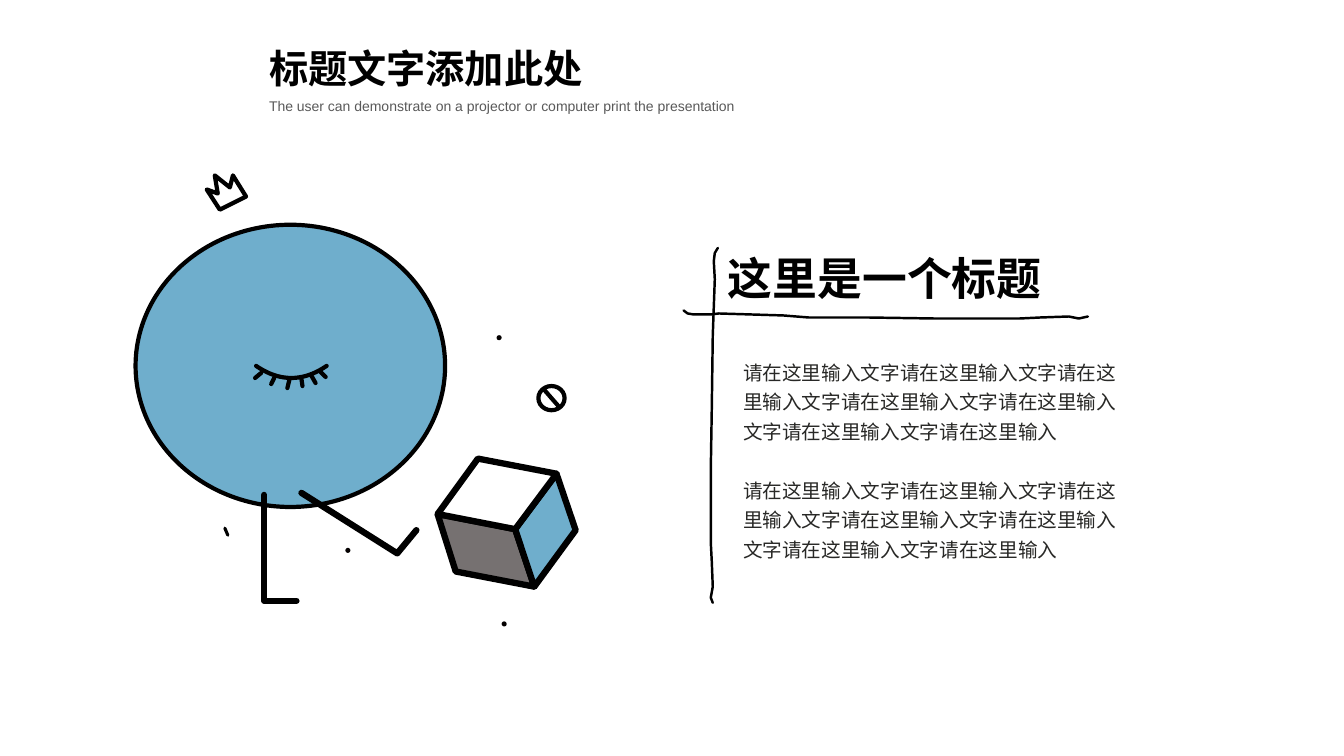
"""Build a slide with a line-drawn figure and two text passages."""
from dataclasses import dataclass

from lxml import etree
from pptx import Presentation
from pptx.dml.color import RGBColor
from pptx.enum.shapes import MSO_CONNECTOR, MSO_SHAPE
from pptx.enum.text import MSO_ANCHOR, MSO_AUTO_SIZE, PP_ALIGN
from pptx.oxml.ns import qn
from pptx.util import Inches, Pt

OVAL = MSO_SHAPE.OVAL
STRAIGHT = MSO_CONNECTOR.STRAIGHT
TOP = MSO_ANCHOR.TOP
GROW = MSO_AUTO_SIZE.SHAPE_TO_FIT_TEXT
LEFT = PP_ALIGN.LEFT


@dataclass(frozen=True)
class Theme:
    """Colours, fonts, type sizes and pen widths."""
    ink: str = "000000"
    dot: str = "040000"
    blue: str = "6FAECC"
    gray: str = "767171"
    white: str = "FFFFFF"
    muted: str = "595959"
    text: str = "282826"
    latin: str = "Arial"
    cjk: str = "Noto Sans CJK SC"
    heading_font: str = "Noto Sans CJK JP"
    title: int = 28
    heading: int = 32
    body: int = 14
    caption: int = 10
    limb: float = 4.5
    pen: float = 3
    tick: float = 2.25
    rule: float = 1.75


class Sketch:
    """Draws the elements of one slide in one style."""

    def __init__(self, s, theme):
        self.s = s
        self.theme = theme

    def paint(self, shape, fill=None, width=None):
        if fill:
            shape.fill.solid()
            shape.fill.fore_color.rgb = RGBColor.from_string(fill)
        else:
            shape.fill.background()
        shape.shadow.inherit = False
        if width:
            self.ink(shape, width)
        else:
            shape.line.fill.background()

    def ink(self, shape, width):
        shape.line.color.rgb = RGBColor.from_string(self.theme.ink)
        shape.line.width = Pt(width)
        ln = shape.element.spPr.find(qn("a:ln"))
        ln.set("cap", "rnd")
        etree.SubElement(ln, qn("a:round"))

    def oval(self, cx, cy, w, h, fill=None, width=None):
        sp = self.s.shapes.add_shape(
            OVAL, Inches(cx - w / 2), Inches(cy - h / 2), Inches(w), Inches(h))
        self.paint(sp, fill, width)

    def polyline(self, points, width, fill=None, close=False):
        pts = [(Inches(x), Inches(y)) for x, y in points]
        builder = self.s.shapes.build_freeform(*pts[0])
        builder.add_line_segments(pts[1:], close=close)
        self.paint(builder.convert_to_shape(), fill, width)

    def line(self, start, end, width):
        sp = self.s.shapes.add_connector(
            STRAIGHT, *(Inches(v) for v in (*start, *end)))
        self.ink(sp, width)
        etree.SubElement(sp.element.spPr, qn("a:effectLst"))

    def textbox(self, box, *style, **options):
        sp = self.s.shapes.add_textbox(*(Inches(v) for v in box))
        self.set_text(sp, box, *style, **options)

    def set_text(self, sp, box, text, size, color, latin, cjk,
                 bold=False, spacing=1.0, wrap=True):
        sp.left, sp.top, sp.width, sp.height = (Inches(v) for v in box)
        tf = sp.text_frame
        tf.word_wrap = wrap
        tf.auto_size = GROW
        tf.vertical_anchor = TOP
        p = tf.paragraphs[0]
        pPr = p._p.get_or_add_pPr()
        pPr.set("marL", "0")
        pPr.set("indent", "0")
        etree.SubElement(pPr, qn("a:buNone"))
        p.alignment = LEFT
        p.line_spacing = spacing
        p.space_before = Pt(0)
        r = p.add_run()
        r.text = text
        r.font.size = Pt(size)
        r.font.bold = bold
        r.font.color.rgb = RGBColor.from_string(color)
        r.font.name = latin
        ea = etree.Element(qn("a:ea"), typeface=cjk)
        r.font._element.find(qn("a:latin")).addnext(ea)


def draw_figure(sk):
    t = sk.theme
    sk.oval(2.88, 3.63, 3.07, 2.8, t.blue, t.pen)
    for cx, cy in [(4.95, 3.35), (5, 6.19), (3.45, 5.46)]:
        sk.oval(cx, cy, 0.05, 0.05, t.dot)
    sk.line((2.23, 5.24), (2.26, 5.31), t.tick)

    left, low, front, centre = (4.34, 5.1), (4.52, 5.67), (5.3, 5.82), (5.11, 5.25)
    back, right, top = (5.52, 4.7), (5.71, 5.26), (4.74, 4.55)
    for face, fill in [((left, low, front, centre), t.gray),
                       ((back, centre, front, right), t.blue),
                       ((left, centre, back, top), t.white)]:
        sk.polyline(face, t.limb, fill, close=True)

    sk.oval(5.47, 3.95, 0.26, 0.24, width=t.pen)
    sk.line((5.4, 3.87), (5.54, 4.03), t.pen)
    crown = [(2.18, 2.08), (2.05, 1.88), (2.16, 1.92), (2.13, 1.74),
             (2.28, 1.86), (2.31, 1.74), (2.44, 1.95)]
    sk.polyline(crown, t.pen, close=True)

    steps = [i / 10 for i in range(-10, 11)]
    eyelid = [(2.89 + 0.35 * u, 3.75 - 0.12 * u * u) for u in steps]
    sk.polyline(eyelid, t.pen)
    for root, tip in [((2.59, 3.7), (2.53, 3.75)), ((2.72, 3.75), (2.69, 3.81)),
                      ((2.87, 3.77), (2.85, 3.85)), ((2.99, 3.76), (3, 3.83)),
                      ((3.09, 3.73), (3.13, 3.8)), ((3.18, 3.69), (3.23, 3.74))]:
        sk.line(root, tip, t.pen)

    sk.polyline([(2.99, 4.89), (3.94, 5.49), (4.13, 5.26)], t.limb)
    sk.polyline([(2.62, 4.91), (2.62, 5.96), (2.94, 5.96)], t.limb)


def draw_rules(sk):
    across = [(6.78, 3.08), (6.82, 3.11), (6.88, 3.12), (7.05, 3.12), (7.13, 3.11),
              (7.77, 3.13), (8.02, 3.15), (8.6, 3.15), (9.28, 3.16), (10.11, 3.16),
              (10.32, 3.15), (10.6, 3.14), (10.7, 3.16), (10.79, 3.14)]
    down = [(7.12, 2.46), (7.09, 2.51), (7.08, 2.59), (7.09, 2.77), (7.07, 3.33),
            (7.06, 4.06), (7.05, 4.66), (7.05, 5.38), (7.06, 5.57), (7.07, 5.82),
            (7.05, 5.93), (7.07, 5.98)]
    for points in (across, down):
        sk.polyline(points, sk.theme.rule)


def main():
    prs = Presentation()
    prs.slide_width, prs.slide_height = Inches(13.33), Inches(7.5)
    s = prs.slides.add_slide(prs.slide_layouts[3])
    t = Theme()
    sk = Sketch(s, t)

    sk.set_text(s.shapes.title, (2.57, 0.39, 3.31, 0.57), "标题文字添加此处",
                t.title, t.ink, t.latin, t.cjk, bold=True, wrap=False)
    sk.textbox((2.57, 0.92, 5.34, 0.27),
               "The user can demonstrate on a projector or computer print the presentation",
               t.caption, t.muted, t.latin, t.cjk)
    draw_figure(sk)
    draw_rules(sk)
    sk.textbox((7.12, 2.44, 3.73, 0.64), "这里是一个标题",
               t.heading, t.ink, t.heading_font, t.heading_font, bold=True)
    passage = "请在这里输入文字" * 6 + "请在这里输入"
    for idx, y in [(1, 3.47), (2, 4.64)]:
        sk.set_text(s.placeholders[idx], (7.27, y, 4.02, 0.98), passage,
                    t.body, t.text, t.cjk, t.cjk, spacing=1.25)
    prs.save("out.pptx")


if __name__ == "__main__":
    main()
